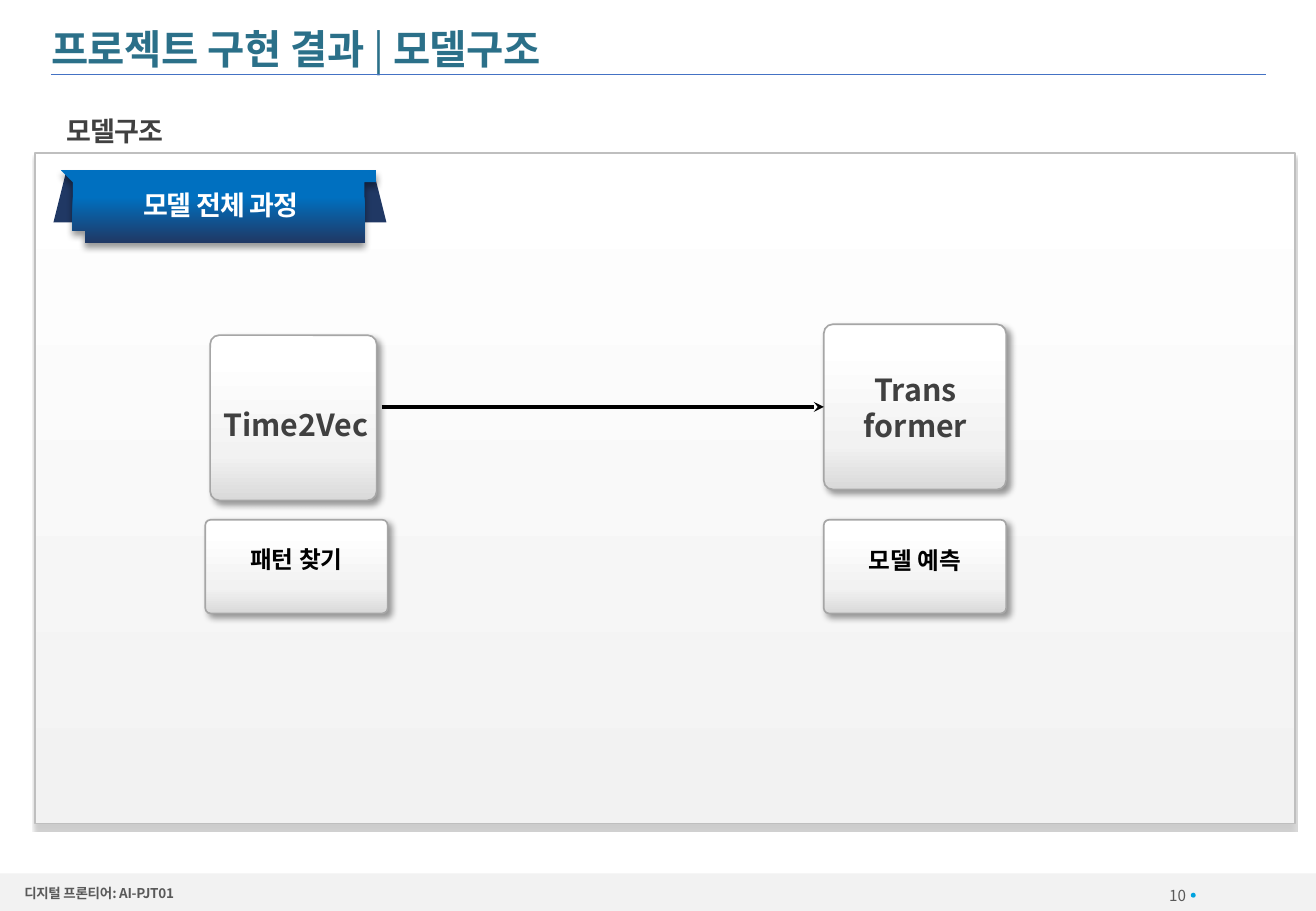
import pptx
import pptx.util
import pptx.oxml
import pptx.oxml.ns
import pptx.dml.color
import pptx.enum.shapes
import pptx.enum.text

FONT = "Noto Sans CJK KR"
INK = {
    "title": "2B7089", "dark": "404040", "grey": "595959", "black": "000000",
    "white": "FFFFFF", "pale": "F2F2F2", "shade": "D9D9D9", "edge": "BFBFBF",
    "rim": "A6A6A6", "navy": "203864", "blue": "0070C0", "rule": "4472C4",
    "dot": "00A3DF",
}
NS = pptx.oxml.ns.nsdecls("a")
qn = pptx.oxml.ns.qn
rgb = pptx.dml.color.RGBColor.from_string
KIND = pptx.enum.shapes.MSO_SHAPE
WIRE = pptx.enum.shapes.MSO_CONNECTOR.STRAIGHT
ALIGN = pptx.enum.text.PP_ALIGN
MID = pptx.enum.text.MSO_ANCHOR.MIDDLE

# Grid: ten columns and ten rows to the inch
deck = pptx.Presentation()
deck.slide_width = pptx.util.Inches(10.83)
deck.slide_height = pptx.util.Inches(7.5)
unit = pptx.util.Inches(0.1)
slide = deck.slides.add_slide(deck.slide_layouts[5])
parts = slide.shapes


def write(text, place, box=None, size=14, ink="black", bold=True,
          align=ALIGN.CENTER, gap=0):
    """Put text in a box; a list gives runs of alternating weight."""
    left, top, wide, high = [int(n * unit) for n in place]
    box = box or parts.add_textbox(left, top, wide, high)
    box.left, box.top, box.width, box.height = left, top, wide, high
    frame = box.text_frame
    frame.word_wrap = True
    frame.vertical_anchor = MID
    frame.margin_left = frame.margin_right = 0
    frame.margin_top = frame.margin_bottom = 0
    para = frame.paragraphs[0]
    para.alignment = align
    if isinstance(text, list):
        for bit in text:
            para.add_run().text = bit
    else:
        para.text = text
    for i, run in enumerate(para.runs):
        heavy = bold and (i % 2 == 0 or not isinstance(text, list))
        run.font.size = pptx.util.Pt(size)
        run.font.bold = heavy
        run.font.name = FONT
        run.font.color.rgb = rgb(INK[ink])
        props = run._r.get_or_add_rPr()
        props.set("spc", str(int(gap * 100)))
        props.find(qn("a:latin")).addnext(
            pptx.oxml.parse_xml(f'<a:ea {NS} typeface="{FONT}"/>'))


def paint(shape, stops, line=None, shade=None):
    """Fill from top to bottom; shade is alpha, blur, distance, angle."""
    if isinstance(stops, str):
        shape.fill.solid()
        shape.fill.fore_color.rgb = rgb(INK[stops])
    else:
        shape.fill.gradient()
        shape.fill.gradient_angle = 270
        ramp = shape._element.spPr.find(qn("a:gradFill")).find(qn("a:gsLst"))
        for old in list(ramp):
            ramp.remove(old)
        for spot, ink in stops:
            ramp.append(pptx.oxml.parse_xml(
                f'<a:gs {NS} pos="{spot * 1000}">'
                f'<a:srgbClr val="{INK[ink]}"/></a:gs>'))
    if line:
        shape.line.color.rgb = rgb(INK[line])
        shape.line.width = pptx.util.Pt(1)
    else:
        shape.line.fill.background()
    shape.shadow.inherit = False
    if shade:
        alpha, blur, dist, turn = shade
        shape._element.spPr.find(qn("a:effectLst")).append(pptx.oxml.parse_xml(
            f'<a:outerShdw {NS} blurRad="{blur * 12700}" dist="{dist * 12700}" '
            f'dir="{turn * 60000}" algn="ctr" rotWithShape="0">'
            f'<a:srgbClr val="{INK["black"]}"><a:alpha val="{alpha * 1000}"/>'
            '</a:srgbClr></a:outerShdw>'))


# Plain shapes and cards: kind, place, fill, line, shadow
glass = [(0, "white"), (14, "white"), (73, "pale"), (100, "shade")]
drop = (40, 4, 3, 45)
cards = [(17.3, 27.6, 13.7, 13.6), (67.8, 26.7, 15, 13.6),
         (16.9, 42.8, 15, 7.7), (67.8, 42.8, 15, 7.7)]
looks = [
    (KIND.RECTANGLE, (0, 71.9, 108.3, 3.1), "pale", None, None),
    (KIND.OVAL, (98, 73.5, 0.4, 0.4), "dot", None, None),
    (KIND.RECTANGLE, (2.9, 12.6, 103.7, 55.2),
     [(0, "white"), (100, "pale")], "edge", (20, 1, 3, 90)),
    (KIND.TRAPEZOID, (4.4, 14.2, 27.4, 4.1), "navy", None, None),
] + [(KIND.ROUNDED_RECTANGLE, card, glass, "rim", drop) for card in cards]
for kind, place, stops, line, shade in looks:
    shape = parts.add_shape(kind, *[int(n * unit) for n in place])
    if kind == KIND.ROUNDED_RECTANGLE:
        shape.adjustments[0] = 0.055
    paint(shape, stops, line, shade)

# Ribbon front: curved right side, mirrored on the left
curve = [(30.6, 14.8), (30.1, 16.1), (29.8, 17.6), (29.7, 19.3)]
side = [(30.8, 14.2), (30.8, 14.4)]
for step in range(9):
    t = step / 8
    mix = [(1 - t) ** 3, 3 * t * (1 - t) ** 2, 3 * t * t * (1 - t), t ** 3]
    side.append(tuple(sum(m * p[k] for m, p in zip(mix, curve)) for k in (0, 1)))
side.append((29.7, 19.5))
edge = side + [(36.2 - x, y) for x, y in reversed(side[2:])] + [(5.4, 14.2)]
pen = parts.build_freeform(*edge[0], scale=unit)
pen.add_line_segments(edge[1:], close=True)
paint(pen.convert_to_shape(), [(0, "blue"), (37, "blue"), (100, "navy")],
      shade=(40, 4, 3, 90))

# Title rule and arrow between the cards
for left, right, y, ink, thick, tip in [
        (4.2, 104.2, 6.1, "rule", 0.5, False),
        (31.4, 67.8, 33.5, "black", 2, True)]:
    wire = parts.add_connector(
        WIRE, *[int(n * unit) for n in (left, y, right, y)])
    wire.line.color.rgb = rgb(INK[ink])
    wire.line.width = pptx.util.Pt(thick)
    if tip:
        wire.line._get_or_add_ln().append(
            pptx.oxml.parse_xml(f'<a:tailEnd {NS} type="stealth"/>'))
    wire._element.spPr.append(pptx.oxml.parse_xml(f'<a:effectLst {NS}/>'))

# Title, heading and footer
write(["프로젝트 구현 결과 ", "| ", "모델구조"], (4.2, 1.8, 99.9, 4.4),
      box=parts.title, size=24, ink="title", align=ALIGN.LEFT, gap=-0.2)
write("모델구조", (5.5, 8.9, 70.7, 3.7), size=16, ink="dark",
      align=ALIGN.LEFT, gap=-0.5)
write("디지털 프론티어: AI-PJT01", (2, 72.9, 42.4, 1.3), size=8, ink="grey",
      align=ALIGN.LEFT, gap=-0.2)
write("10", (90.6, 72.7, 7, 2), size=9, ink="grey", bold=False,
      align=ALIGN.RIGHT)

# Ribbon and card labels
write("모델 전체 과정", (9.9, 15, 16.5, 3.7), size=16, ink="white", gap=-0.5)
write("Time2Vec", (17.3, 33.4, 14.1, 3), size=18, ink="dark")
write("Trans\nformer", (69.7, 30, 11.3, 7.1), size=18, ink="dark")
write("패턴 찾기", (16.9, 44.3, 15, 3.4))
write("모델 예측", (67.8, 44.4, 15, 3.4))

deck.save("out.pptx")
